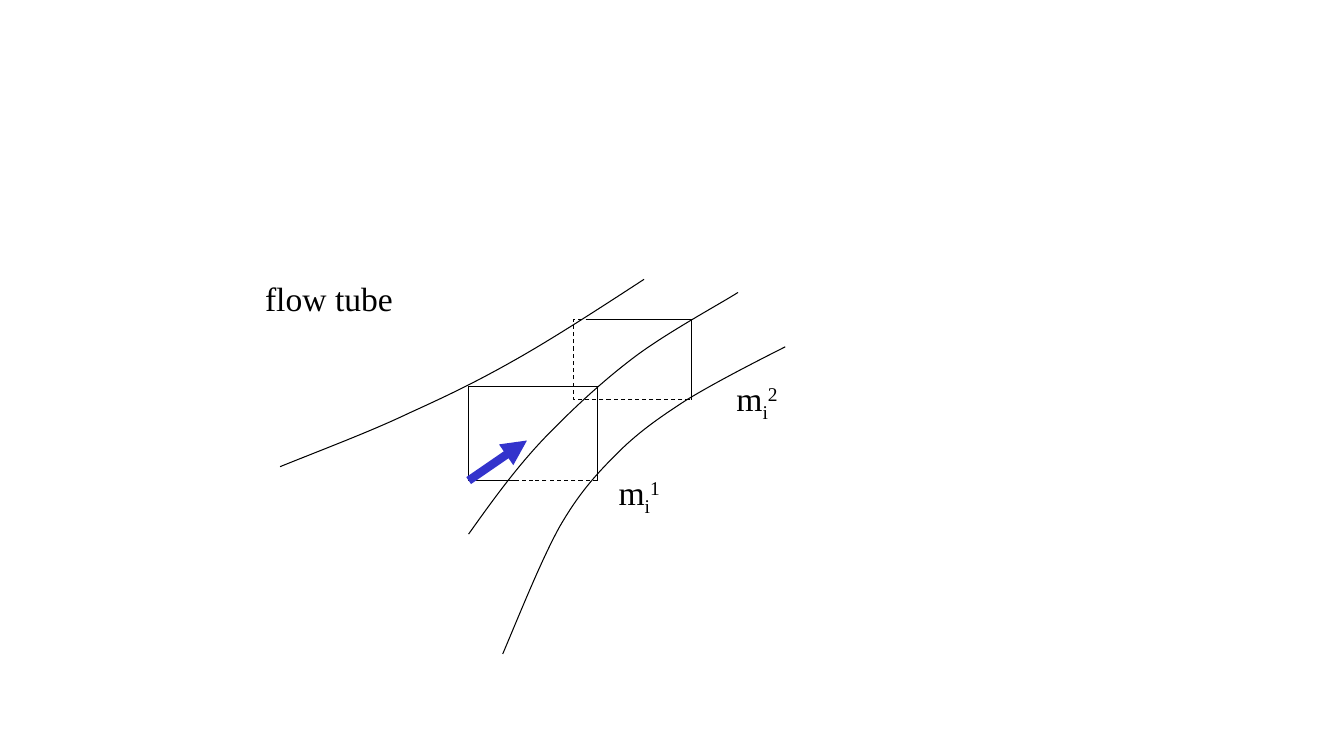
from lxml import etree
from pptx import Presentation
from pptx.dml.color import RGBColor
from pptx.enum.dml import MSO_LINE
from pptx.enum.shapes import MSO_CONNECTOR, MSO_SHAPE
from pptx.enum.text import MSO_AUTO_SIZE
from pptx.oxml.ns import qn
from pptx.util import Cm, Pt

DASH = MSO_LINE.DASH
STRAIGHT = MSO_CONNECTOR.STRAIGHT
RECTANGLE = MSO_SHAPE.RECTANGLE
GROW = MSO_AUTO_SIZE.SHAPE_TO_FIT_TEXT
BLACK, BLUE = "000000", "3333CC"
SUBSCRIPT, SUPERSCRIPT = -25000, 30000


def color(hex_value):
    return RGBColor.from_string(hex_value)


def add_line(parent, start, end, line_color=BLACK, width=0.75):
    line = parent.shapes.add_connector(STRAIGHT, Cm(start[0]), Cm(start[1]), Cm(end[0]), Cm(end[1]))
    line.line.color.rgb = color(line_color)
    line.line.width = Pt(width)
    etree.SubElement(line._element.spPr, qn("a:effectLst"))
    return line


deck = Presentation()
deck.slide_width, deck.slide_height = Cm(33.87), Cm(19.05)
page = deck.slides.add_slide(deck.slide_layouts[6])
diagram = page.shapes.add_group_shape()

# Flow lines: chains of cubic Bezier segments
flow_lines = [
    [(7.06, 11.76), (8.2, 11.3), (9.35, 10.87), (10.31, 10.41), (11.3, 9.96),
     (11.99, 9.63), (12.98, 9.07), (13.97, 8.51), (15.11, 7.77), (16.23, 7.04)],
    [(11.81, 13.46), (12.42, 12.6), (13.03, 11.76), (13.74, 11.02), (14.45, 10.29),
     (15.19, 9.6), (16, 8.99), (16.81, 8.38), (18.16, 7.65), (18.6, 7.37)],
    [(12.67, 16.48), (13.16, 15.32), (13.64, 14.12), (14.1, 13.28), (14.58, 12.45),
     (14.99, 11.99), (15.52, 11.46), (16.05, 10.92), (16.59, 10.54), (17.3, 10.08),
     (18.01, 9.65), (18.9, 9.19), (19.79, 8.74)],
]
for controls in flow_lines:
    start, *others = [(Cm(x), Cm(y)) for x, y in controls]
    builder = diagram.shapes.build_freeform(*start)
    builder.add_line_segments(others, close=False)
    flow_line = builder.convert_to_shape()
    flow_line.shadow.inherit = False
    flow_line.fill.background()
    flow_line.line.color.rgb = color(BLACK)
    flow_line.line.width = Pt(0.75)
    # Every three straight steps become one curve
    steps = list(flow_line._element.iter(qn("a:lnTo")))
    outline = steps[0].getparent()
    for first in range(0, len(steps), 3):
        curve = etree.SubElement(outline, qn("a:cubicBezTo"))
        for step in steps[first:first + 3]:
            curve.append(step[0])
            outline.remove(step)

# Cross-sections: dashed rectangles
back_left, back_top, back_right, back_bottom = 14.45, 8.05, 17.42, 10.08
front_left, front_top, front_right, front_bottom = 11.81, 9.73, 15.06, 12.11
for left, top, right, bottom in [
    (back_left, back_top, back_right, back_bottom),
    (front_left, front_top, front_right, front_bottom),
]:
    section = diagram.shapes.add_shape(RECTANGLE, Cm(left), Cm(top), Cm(right - left), Cm(bottom - top))
    section.shadow.inherit = False
    section.fill.background()
    section.line.color.rgb = color(BLACK)
    section.line.width = Pt(0.75)
    section.line.dash_style = DASH

# Visible edges of the cross-sections
for start, end in [
    ((14.76, back_top), (back_right, back_top)),
    ((back_right, back_top), (back_right, back_bottom)),
    ((front_left, front_top), (front_right, front_top)),
    ((front_right, front_top), (front_right, front_bottom)),
    ((front_left, front_top), (front_left, front_bottom)),
    ((front_left, front_bottom), (12.98, front_bottom)),
]:
    add_line(diagram, start, end)

# Flow direction arrow
arrow = add_line(diagram, (front_left, front_bottom), (13.28, 11.1), BLUE, 6)
etree.SubElement(arrow.line._get_or_add_ln(), qn("a:tailEnd"), type="triangle")

# Labels: position, width, wrapping and runs with their baseline shift
for left, top, width, wrap, runs in [
    (15.34, 11.76, 2.95, True, [("m", 0), ("i", SUBSCRIPT), ("1", SUPERSCRIPT)]),
    (18.31, 9.4, 2.26, False, [("m", 0), ("i", SUBSCRIPT), ("2", SUPERSCRIPT)]),
    (6.43, 6.88, 5.21, False, [("flow tube", 0)]),
]:
    box = diagram.shapes.add_textbox(Cm(left), Cm(top), Cm(width), Cm(2.03))
    box.text_frame.word_wrap = wrap
    box.text_frame.auto_size = GROW
    para = box.text_frame.paragraphs[0]
    for text, baseline in runs:
        span = para.add_run()
        span.text = text
        span.font.name = "Times New Roman"
        span.font.size = Pt(24)
        span.font.color.rgb = color(BLACK)
        if baseline:
            span._r.get_or_add_rPr().set("baseline", str(baseline))

deck.save("out.pptx")
